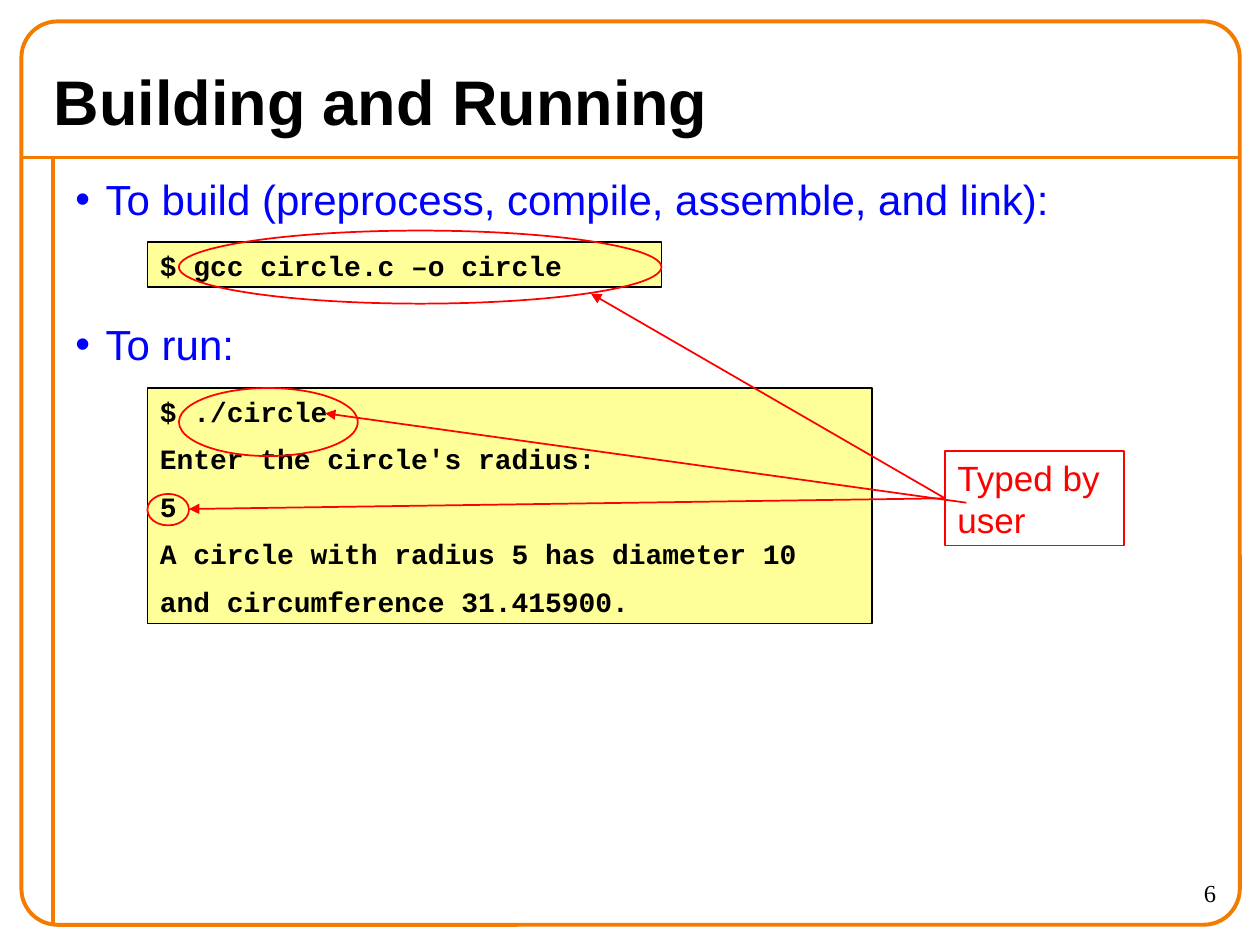
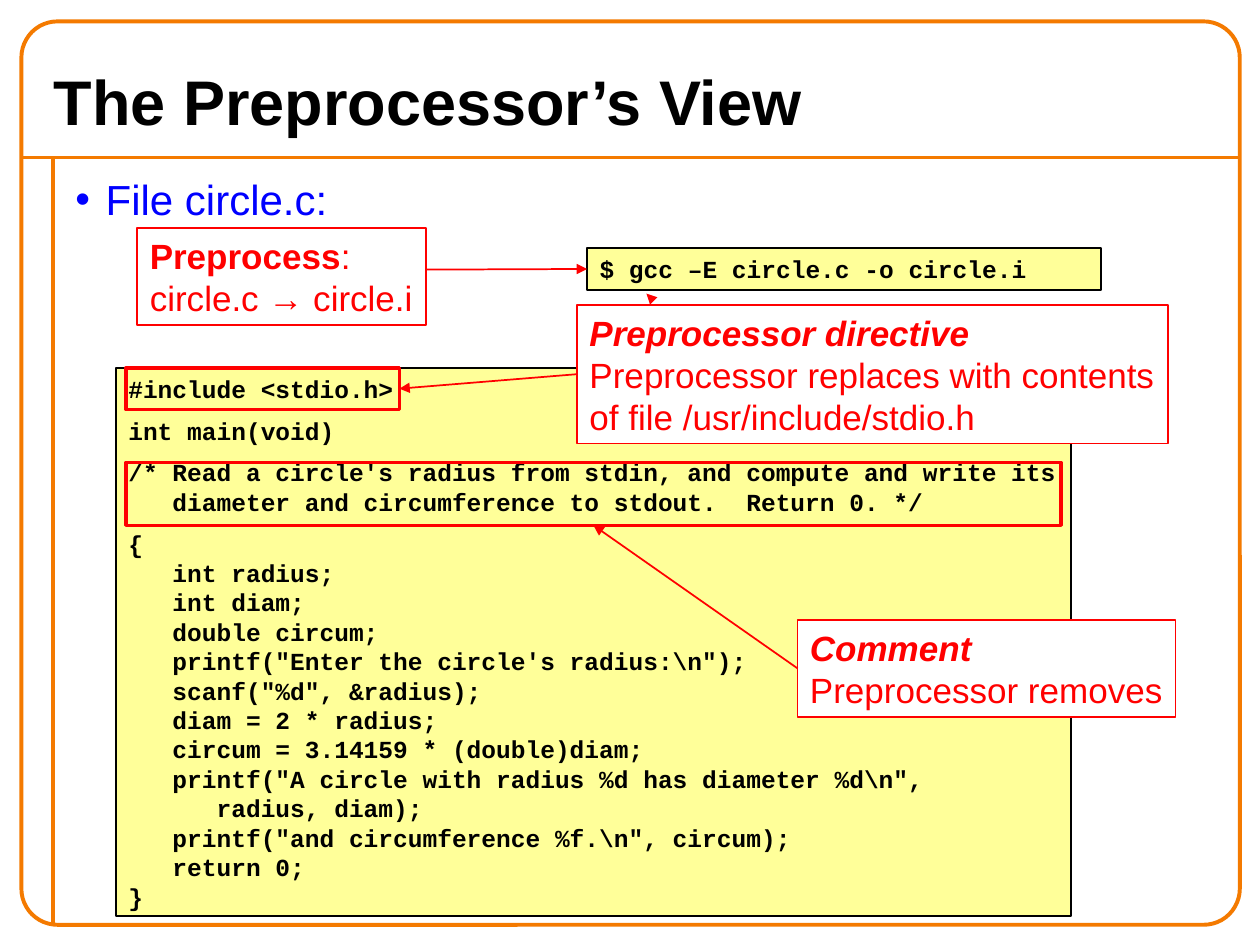
from dataclasses import dataclass

from pptx import Presentation
from pptx import util as u
from pptx.dml.color import RGBColor
from pptx.enum import shapes, text
from pptx.oxml import ns, xmlchemy

COLORS = {
    "frame": "F47A00",
    "title": "000000",
    "bullet": "0000FF",
    "code": "000000",
    "code_fill": "FFFF99",
    "note": "FF0000",
    "note_fill": "FFFFFF",
}
RECTANGLE = shapes.MSO_SHAPE.RECTANGLE
ELLIPSE = shapes.MSO_SHAPE.OVAL
LEFT, BOTTOM, RIGHT = 1, 2, 3
BULLET_INDENT = 0.24


@dataclass(frozen=True)
class Box:
    left: float
    top: float
    width: float
    height: float

    def lengths(self) -> tuple:
        return tuple(u.Inches(n) for n in (self.left, self.top, self.width, self.height))


@dataclass(frozen=True)
class Style:
    size: float
    color: str
    font: str = "Arial"
    bold: bool = False
    italic: bool = False


@dataclass(frozen=True)
class CodeBlock:
    box: Box
    paragraphs: tuple
    size: float
    space_before: float


@dataclass(frozen=True)
class NoteLine:
    words: str
    bold: bool = False
    italic: bool = False
    plain_ending: str = ""


@dataclass(frozen=True)
class Note:
    box: Box
    lines: tuple


@dataclass(frozen=True)
class Bullet:
    words: str
    space_before: float = 12


TITLE = Style(36, "title", bold=True)
BULLET = Style(24, "bullet")
PAGE_NUMBER = Style(14, "title", font="Times New Roman")


def rgb(color: str) -> RGBColor:
    return RGBColor.from_string(COLORS[color])


def format_run(run, style: Style) -> None:
    font = run.font
    font.name, font.size = style.font, u.Pt(style.size)
    font.bold, font.italic = style.bold, style.italic
    font.color.rgb = rgb(style.color)


def format_paragraph(paragraph, style: Style) -> None:
    for run in paragraph.runs:
        format_run(run, style)


def draw_outline(slide, kind, box: Box, color: str, weight: float = 1, fill: str = ""):
    shape = slide.shapes.add_shape(kind, *box.lengths())
    shape.shadow.inherit = False
    shape.line.color.rgb = rgb(color)
    shape.line.width = u.Pt(weight)
    if fill:
        shape.fill.solid()
        shape.fill.fore_color.rgb = rgb(fill)
    else:
        shape.fill.background()
    return shape


def draw_line(slide, start: tuple, end: tuple, color: str, weight: float):
    connector = slide.shapes.add_connector(
        shapes.MSO_CONNECTOR.STRAIGHT, *(u.Inches(n) for n in start + end))
    connector.line.color.rgb = rgb(color)
    connector.line.width = u.Pt(weight)
    xmlchemy.OxmlElement("a:effectLst")
    connector._element.spPr.append(xmlchemy.OxmlElement("a:effectLst"))
    return connector


def draw_arrow(slide, start: tuple, end: tuple, source=None, target=None):
    connector = draw_line(slide, start, end, "note", 1)
    head = xmlchemy.OxmlElement("a:tailEnd")
    head.set("type", "triangle")
    connector.line._get_or_add_ln().append(head)
    if source:
        connector.begin_connect(*source)
    if target:
        connector.end_connect(*target)
    return connector


def draw_text(slide, box: Box, words: str, style: Style):
    frame = slide.shapes.add_textbox(*box.lengths()).text_frame
    frame.word_wrap = True
    frame.text = words
    for paragraph in frame.paragraphs:
        format_paragraph(paragraph, style)
    return frame


def draw_bullets(slide, bullets: tuple) -> None:
    words = "\n".join(bullet.words for bullet in bullets)
    frame = draw_text(slide, Box(0.5, 1.33, 9.25, 6), words, BULLET)
    for paragraph, bullet in zip(frame.paragraphs, bullets):
        paragraph.space_before = u.Pt(bullet.space_before)
        properties = paragraph._p.get_or_add_pPr()
        properties.set("marL", str(u.Inches(BULLET_INDENT)))
        properties.set("indent", str(u.Inches(-BULLET_INDENT)))
        color = xmlchemy.OxmlElement("a:buClr")
        value = xmlchemy.OxmlElement("a:srgbClr")
        value.set("val", COLORS["bullet"])
        color.append(value)
        font = xmlchemy.OxmlElement("a:buFont")
        font.set("typeface", "Arial")
        mark = xmlchemy.OxmlElement("a:buChar")
        mark.set("char", "•")
        properties.extend((color, font, mark))


def draw_code(slide, block: CodeBlock):
    shape = draw_outline(slide, RECTANGLE, block.box, "code", fill="code_fill")
    frame = shape.text_frame
    frame.word_wrap = True
    frame.vertical_anchor = text.MSO_ANCHOR.TOP
    style = Style(block.size, "code", font="Courier New", bold=True)
    for index, words in enumerate(block.paragraphs):
        paragraph = frame.add_paragraph() if index else frame.paragraphs[0]
        paragraph.text = words
        paragraph.alignment = text.PP_ALIGN.LEFT
        paragraph.space_before = u.Pt(block.space_before)
        format_paragraph(paragraph, style)
    return shape


def draw_note(slide, note: Note):
    shape = draw_outline(slide, RECTANGLE, note.box, "note", fill="note_fill")
    frame = shape.text_frame
    frame.word_wrap = False
    frame.vertical_anchor = text.MSO_ANCHOR.MIDDLE
    frame.text = "\n".join(line.words for line in note.lines)
    for paragraph, line in zip(frame.paragraphs, note.lines):
        paragraph.alignment = text.PP_ALIGN.LEFT
        format_paragraph(paragraph, Style(20, "note", bold=line.bold, italic=line.italic))
        if line.plain_ending:
            ending = paragraph.add_run()
            ending.text = line.plain_ending
            format_run(ending, Style(20, "note"))
    return shape


def add_framed_slide(presentation, title: str, bullets: tuple):
    slide = presentation.slides.add_slide(presentation.slide_layouts[6])
    draw_line(slide, (0.17, 1.25), (9.83, 1.25), "frame", 2.25)
    draw_line(slide, (0.42, 1.25), (0.42, 7.33), "frame", 2.25)
    border = draw_outline(slide, shapes.MSO_SHAPE.ROUNDED_RECTANGLE,
                          Box(0.17, 0.17, 9.67, 7.17), "frame", 2.25)
    border.adjustments[0] = 0.04
    frame = draw_text(slide, Box(0.33, 0.42, 9.33, 0.75), title, TITLE)
    frame.vertical_anchor = text.MSO_ANCHOR.MIDDLE
    draw_bullets(slide, bullets)
    return slide


def build_running_slide(presentation) -> None:
    slide = add_framed_slide(presentation, "Building and Running", (
        Bullet("To build (preprocess, compile, assemble, and link):"),
        Bullet("To run:", space_before=54),
    ))
    number = draw_text(slide, Box(8.75, 6.92, 1, 0.42), "6", PAGE_NUMBER)
    number.paragraphs[0].alignment = text.PP_ALIGN.RIGHT

    draw_code(slide, CodeBlock(Box(1.17, 1.92, 4.08, 0.36), ("$ gcc circle.c –o circle",), 16, 8))
    draw_code(slide, CodeBlock(Box(1.17, 3.08, 5.75, 1.87), (
        "$ ./circle",
        "Enter the circle's radius:",
        "5",
        "A circle with radius 5 has diameter 10",
        "and circumference 31.415900.",
    ), 16, 8))
    typed = draw_note(slide, Note(Box(7.5, 3.58, 1.42, 0.75), (NoteLine("Typed by"), NoteLine("user"))))

    for typed_input in (Box(1.17, 3.92, 0.33, 0.25), Box(1.42, 3.08, 1.42, 0.54),
                        Box(1.42, 1.83, 3.83, 0.58)):
        draw_outline(slide, ELLIPSE, typed_input, "note")
    for target in ((1.5, 4.04), (4.69, 2.33)):
        draw_arrow(slide, (7.5, 3.96), target, source=(typed, LEFT))
    draw_arrow(slide, (7.67, 3.99), (2.58, 3.28))


def build_preprocessor_slide(presentation) -> None:
    slide = add_framed_slide(presentation, "The Preprocessor’s View", (Bullet("File circle.c:"),))
    draw_code(slide, CodeBlock(Box(0.92, 2.92, 7.58, 4.35), (
        "#include <stdio.h>",
        "int main(void)",
        """/* Read a circle's radius from stdin, and compute and write its
   diameter and circumference to stdout.  Return 0. */""",
        r"""{
   int radius;
   int diam;
   double circum;
   printf("Enter the circle's radius:\n");
   scanf("%d", &radius);
   diam = 2 * radius;
   circum = 3.14159 * (double)diam;
   printf("A circle with radius %d has diameter %d\n",
      radius, diam);
   printf("and circumference %f.\n", circum);
   return 0;
}""",
    ), 14, 7))
    comment = draw_note(slide, Note(Box(6.33, 4.92, 3, 0.77), (
        NoteLine("Comment", bold=True, italic=True),
        NoteLine("Preprocessor removes"),
    )))
    directive = draw_note(slide, Note(Box(4.58, 2.42, 4.69, 1.1), (
        NoteLine("Preprocessor directive", bold=True, italic=True),
        NoteLine("Preprocessor replaces with contents"),
        NoteLine("of file /usr/include/stdio.h"),
    )))
    draw_arrow(slide, (5.14, 2.34), (5.13, 2.33))

    include_mark = draw_outline(slide, RECTANGLE, Box(1, 2.92, 2.17, 0.33), "note", 2)
    comment_mark = draw_outline(slide, RECTANGLE, Box(1, 3.67, 7.42, 0.5), "note", 2)
    draw_arrow(slide, (6.33, 5.31), (4.71, 4.17), (comment, LEFT), (comment_mark, BOTTOM))
    draw_arrow(slide, (4.58, 2.97), (3.17, 3.08), (directive, LEFT), (include_mark, RIGHT))

    command = draw_code(slide, CodeBlock(
        Box(4.66, 1.97, 4.08, 0.33), ("$ gcc –E circle.c -o circle.i",), 14, 7))
    draw_note(slide, Note(Box(1.09, 1.81, 2.29, 0.77), (
        NoteLine("Preprocess", bold=True, plain_ending=":"),
        NoteLine("circle.c → circle.i"),
    )))
    draw_arrow(slide, (3.38, 2.14), (4.66, 2.14), target=(command, LEFT))


def main() -> None:
    presentation = Presentation()
    presentation.slide_width = u.Inches(10)
    presentation.slide_height = u.Inches(7.5)
    build_running_slide(presentation)
    build_preprocessor_slide(presentation)
    presentation.save("out.pptx")


if __name__ == "__main__":
    main()
